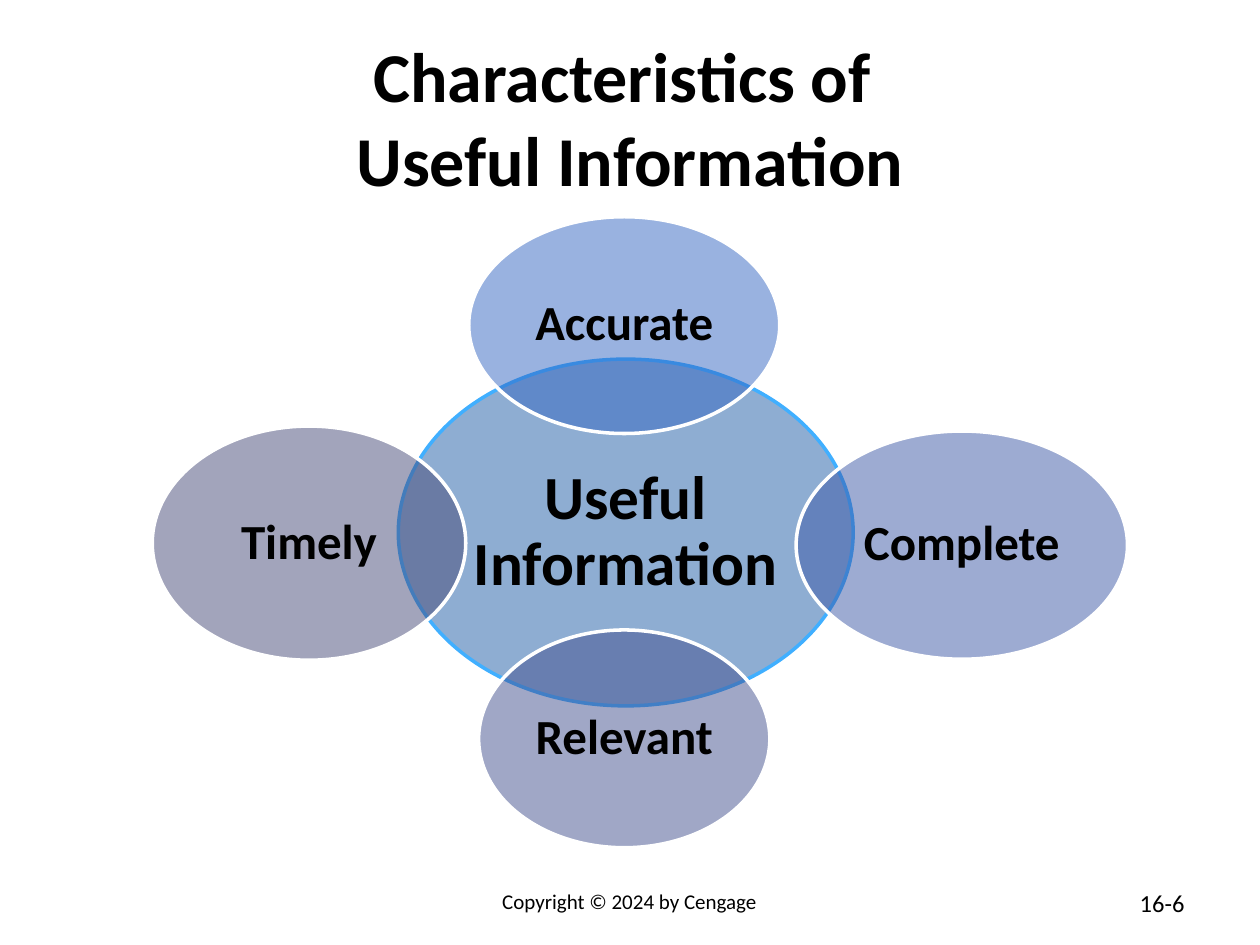
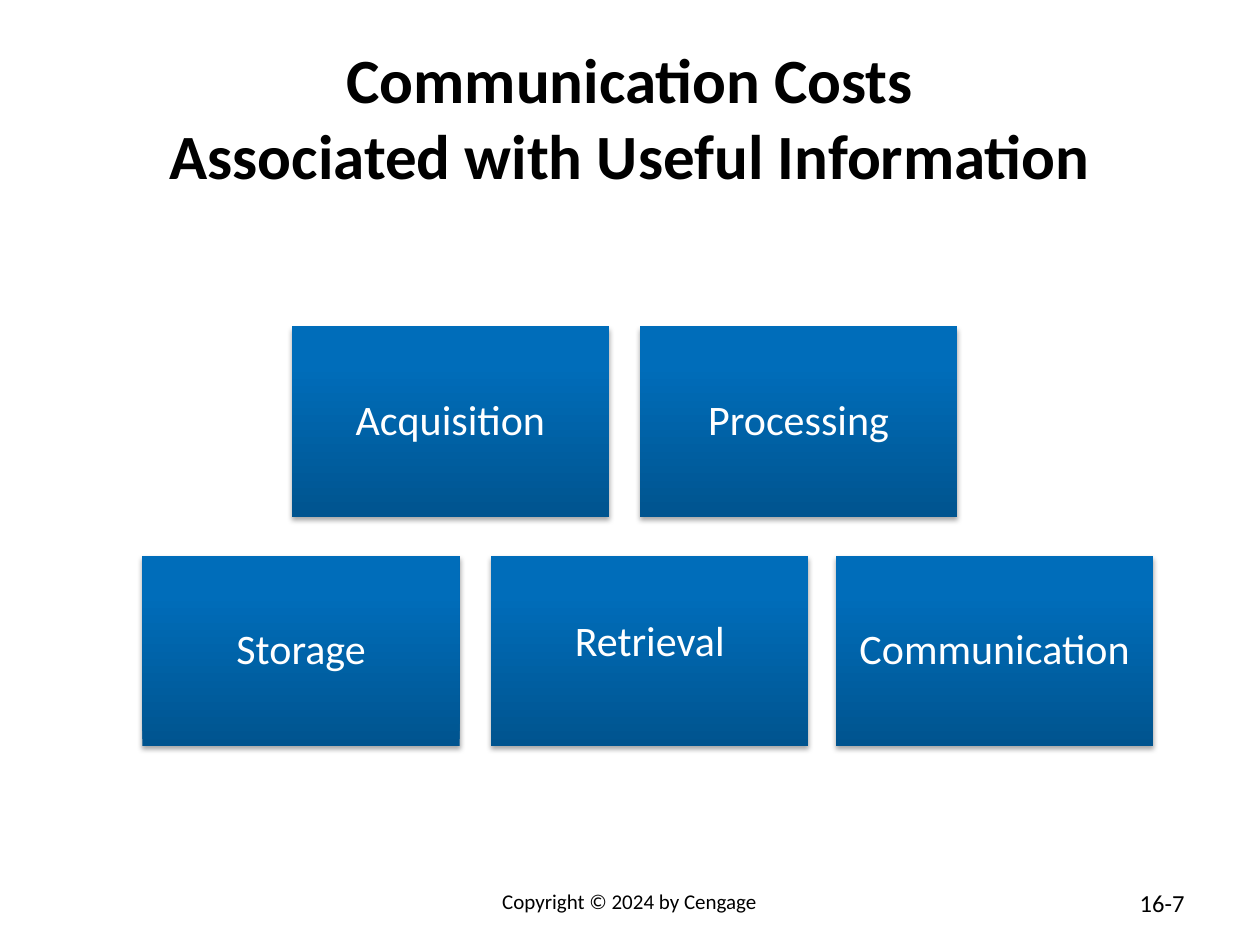
import pptx
import pptx.dml.color
import pptx.enum.shapes
import pptx.enum.text
import pptx.oxml
import pptx.oxml.ns
import pptx.util

Cm = pptx.util.Cm
Pt = pptx.util.Pt
RGBColor = pptx.dml.color.RGBColor
MSO_SHAPE = pptx.enum.shapes.MSO_SHAPE
PP_ALIGN = pptx.enum.text.PP_ALIGN
MSO_ANCHOR = pptx.enum.text.MSO_ANCHOR
qn = pptx.oxml.ns.qn

FONT = "Calibri"
BLACK = RGBColor(0x00, 0x00, 0x00)
WHITE = RGBColor(0xFF, 0xFF, 0xFF)
SKY = RGBColor(0x40, 0xAF, 0xFF)
CENTER_BLUE = RGBColor(0x1F, 0x5D, 0xA7)
ACCURATE_BLUE = RGBColor(0x34, 0x67, 0xC2)
COMPLETE_BLUE = RGBColor(0x3C, 0x59, 0xA7)
RELEVANT_BLUE = RGBColor(0x43, 0x50, 0x8F)
TIMELY_BLUE = RGBColor(0x47, 0x4B, 0x78)
BOX_DARK = RGBColor(0x00, 0x54, 0x8F)
BOX_LIGHT = RGBColor(0x00, 0x6D, 0xBA)

DRAWING_NS = pptx.oxml.ns.nsdecls("a")
HALF_ALPHA = f'<a:alpha {DRAWING_NS} val="50000"/>'
SOFT_SHADOW = (
    f'<a:outerShdw {DRAWING_NS} blurRad="39370" dist="22860" dir="5400000" rotWithShape="0">'
    '<a:srgbClr val="000000"><a:alpha val="35000"/></a:srgbClr></a:outerShdw>'
)


def write_text(shape, lines, size, color=BLACK, bold=False,
               align=PP_ALIGN.CENTER, anchor=MSO_ANCHOR.MIDDLE, spacing=None):
    """Fill the shape with one paragraph, its lines parted by line breaks."""
    frame = shape.text_frame
    frame.word_wrap = True
    frame.vertical_anchor = anchor
    paragraph = frame.paragraphs[0]
    paragraph.alignment = align
    paragraph.line_spacing = spacing
    for index, line in enumerate(lines):
        if index:
            paragraph.add_line_break()
        run = paragraph.add_run()
        run.text = line
        run.font.name = FONT
        run.font.size = Pt(size)
        run.font.bold = bold
        run.font.color.rgb = color


def add_base_slide(title_lines, title_size, page):
    """Add a blank slide with its title, copyright line and page number."""
    slide = presentation.slides.add_slide(presentation.slide_layouts[6])
    title = slide.shapes.add_textbox(Cm(1.27), Cm(0.76), Cm(22.86), Cm(3.18))
    write_text(title, title_lines, title_size, bold=True)
    copyright_line = slide.shapes.add_textbox(Cm(7.19), Cm(17.78), Cm(11), Cm(0.89))
    write_text(copyright_line, ["Copyright © 2024 by Cengage"], 12, anchor=MSO_ANCHOR.TOP)
    page_number = slide.shapes.add_textbox(Cm(18.21), Cm(17.78), Cm(5.92), Cm(0.89))
    write_text(page_number, [page], 14, align=PP_ALIGN.RIGHT, anchor=MSO_ANCHOR.TOP)
    return slide


presentation = pptx.Presentation()
presentation.slide_width = Cm(25.4)
presentation.slide_height = Cm(19.05)

# Characteristics: four ovals overlapping a central one
slide = add_base_slide(["Characteristics of ", "Useful Information"], 40, "16-6")
ovals = [
    (["Useful", "Information"], 35, CENTER_BLUE, SKY, 8.03, 7.24, 9.17, 6.99),
    (["Accurate"], 28, ACCURATE_BLUE, WHITE, 9.45, 4.37, 6.27, 4.37),
    (["Complete"], 28, COMPLETE_BLUE, WHITE, 16.05, 8.69, 6.68, 4.6),
    (["Relevant"], 28, RELEVANT_BLUE, WHITE, 9.65, 12.7, 5.87, 4.39),
    (["Timely"], 28, TIMELY_BLUE, WHITE, 3.07, 8.59, 6.32, 4.72),
]
for lines, size, fill_color, line_color, left, top, width, height in ovals:
    oval = slide.shapes.add_shape(MSO_SHAPE.OVAL, Cm(left), Cm(top), Cm(width), Cm(height))
    oval.shadow.inherit = False
    oval.fill.solid()
    oval.fill.fore_color.rgb = fill_color
    fill_element = oval._element.spPr.find(qn("a:solidFill"))
    fill_element[0].append(pptx.oxml.parse_xml(HALF_ALPHA))
    oval.line.color.rgb = line_color
    oval.line.width = Pt(2)
    oval.text_frame.margin_left = oval.text_frame.margin_right = Cm(0)
    write_text(oval, lines, size, bold=True, spacing=0.9)

# Communication costs: two boxes above three
slide = add_base_slide(
    ["Communication Costs", "Associated with Useful Information"], 36, "16-7")
cost_rows = [
    (11.2, [("Storage", 2.87), ("Retrieval", 9.9), ("Communication", 16.85)]),
    (6.58, [("Acquisition", 5.88), ("Processing", 12.9)]),
]
for top, costs in cost_rows:
    for cost, left in costs:
        box = slide.shapes.add_shape(MSO_SHAPE.RECTANGLE, Cm(left), Cm(top), Cm(6.4), Cm(3.84))
        box.fill.gradient()
        box.fill.gradient_angle = 90
        stops = box.fill.gradient_stops
        for stop, color, position in zip(stops, (BOX_DARK, BOX_LIGHT), (0, 0.8)):
            stop.color.rgb = color
            stop.position = position
        box.line.fill.background()
        box.shadow.inherit = False
        effects = box._element.spPr.find(qn("a:effectLst"))
        effects.append(pptx.oxml.parse_xml(SOFT_SHADOW))
        write_text(box, [cost], 24, color=WHITE, spacing=0.9)
        if cost == "Retrieval":  # this label sits slightly higher
            box.text_frame.margin_bottom = Cm(0.45)

presentation.save("out.pptx")
